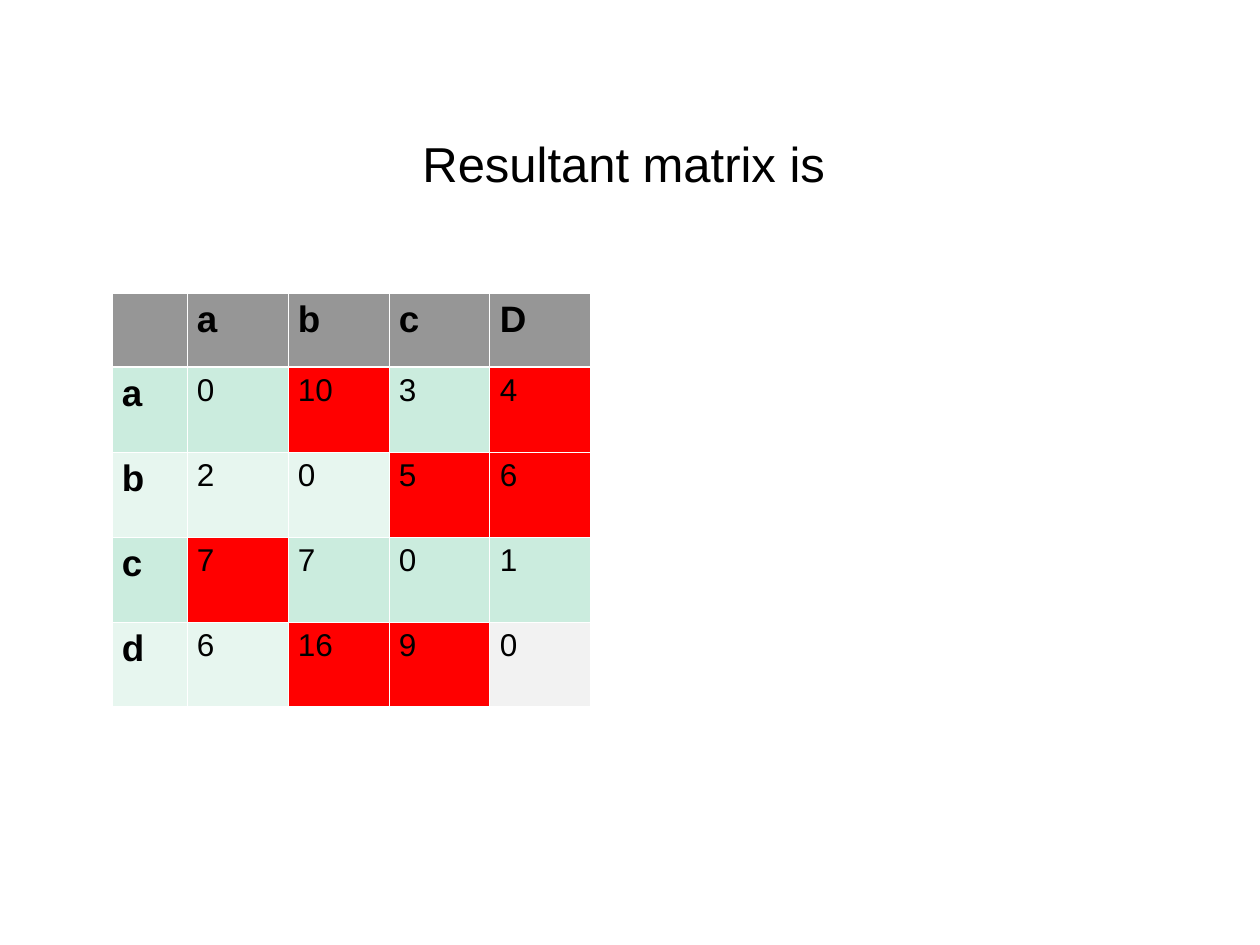
from dataclasses import dataclass

from lxml import etree
from pptx import Presentation, util as u
from pptx.dml.color import RGBColor
from pptx.enum import text
from pptx.oxml import ns

PX = u.Inches(1) // 126


@dataclass(frozen=True)
class Theme:
    font: str = "Arial"
    ink: str = "000000"
    header: str = "969696"
    bands: tuple = ("CBECDE", "E7F6EF")
    changed: str = "FF0000"
    corner: str = "F2F2F2"
    rule: str = "FFFFFF"
    title_size: int = 28
    label_size: int = 21
    value_size: int = 18
    thin: float = 0.45
    thick: float = 1.47


THEME = Theme()

MATRIX = [
    ["", "a", "b", "c", "D"],
    ["a", "0", "10", "3", "4"],
    ["b", "2", "0", "5", "6"],
    ["c", "7", "7", "0", "1"],
    ["d", "6", "16", "9", "0"],
]
CHANGED = {(1, 2), (1, 4), (2, 3), (2, 4), (3, 1), (4, 2), (4, 3)}
COLUMN_WIDTHS = [75] + [101] * 4
ROW_HEIGHTS = [74] + [85] * 4


def px(length):
    return u.Emu(length * PX)


def add_run(paragraph, words, size, bold=False):
    run = paragraph.add_run()
    run.text = words
    run.font.name = THEME.font
    run.font.size = u.Pt(size)
    run.font.bold = bold
    run.font.color.rgb = RGBColor.from_string(THEME.ink)


def add_title(slide, words, left, top, width, height):
    title = slide.shapes.add_textbox(px(left), px(top), px(width), px(height))
    frame = title.text_frame
    frame.word_wrap = True
    frame.vertical_anchor = text.MSO_ANCHOR.MIDDLE
    paragraph = frame.paragraphs[0]
    paragraph.alignment = text.PP_ALIGN.CENTER
    add_run(paragraph, words, THEME.title_size)


def cell_colour(row, column):
    if row == 0:
        return THEME.header
    if (row, column) in CHANGED:
        return THEME.changed
    if (row, column) == (4, 4):
        return THEME.corner
    return THEME.bands[(row - 1) % 2]


def set_borders(cell, row):
    """Rule all four sides, with a thicker line between header and body."""
    widths = {
        "L": THEME.thin,
        "R": THEME.thin,
        "T": THEME.thick if row == 1 else THEME.thin,
        "B": THEME.thick if row == 0 else THEME.thin,
    }
    properties = cell._tc.get_or_add_tcPr()
    for position, (side, width) in enumerate(widths.items()):
        line = etree.Element(ns.qn(f"a:ln{side}"), w=str(u.Pt(width)))
        fill = etree.SubElement(line, ns.qn("a:solidFill"))
        etree.SubElement(fill, ns.qn("a:srgbClr"), val=THEME.rule)
        properties.insert(position, line)


def fill_cell(cell, words, row, column):
    cell.fill.solid()
    cell.fill.fore_color.rgb = RGBColor.from_string(cell_colour(row, column))
    cell.margin_left = cell.margin_right = px(10)
    cell.margin_top = cell.margin_bottom = px(6)
    set_borders(cell, row)
    if words:
        is_label = row == 0 or column == 0
        size = THEME.label_size if is_label else THEME.value_size
        add_run(cell.text_frame.paragraphs[0], words, size, is_label)


def add_matrix(slide, left, top):
    frame = slide.shapes.add_table(
        len(ROW_HEIGHTS), len(COLUMN_WIDTHS), px(left), px(top),
        px(sum(COLUMN_WIDTHS)), px(sum(ROW_HEIGHTS)))
    table = frame.table
    table.first_row = table.horz_banding = False
    for column, width in zip(table.columns, COLUMN_WIDTHS):
        column.width = px(width)
    for row, height in zip(table.rows, ROW_HEIGHTS):
        row.height = px(height)
    for r, values in enumerate(MATRIX):
        for c, value in enumerate(values):
            fill_cell(table.cell(r, c), value, r, c)


def main():
    deck = Presentation()
    deck.slide_width, deck.slide_height = px(1260), px(945)
    slide = deck.slides.add_slide(deck.slide_layouts[6])
    add_title(slide, "Resultant matrix is ", 95, 84, 1071, 158)
    add_matrix(slide, 112, 293)
    deck.save("out.pptx")


if __name__ == "__main__":
    main()
